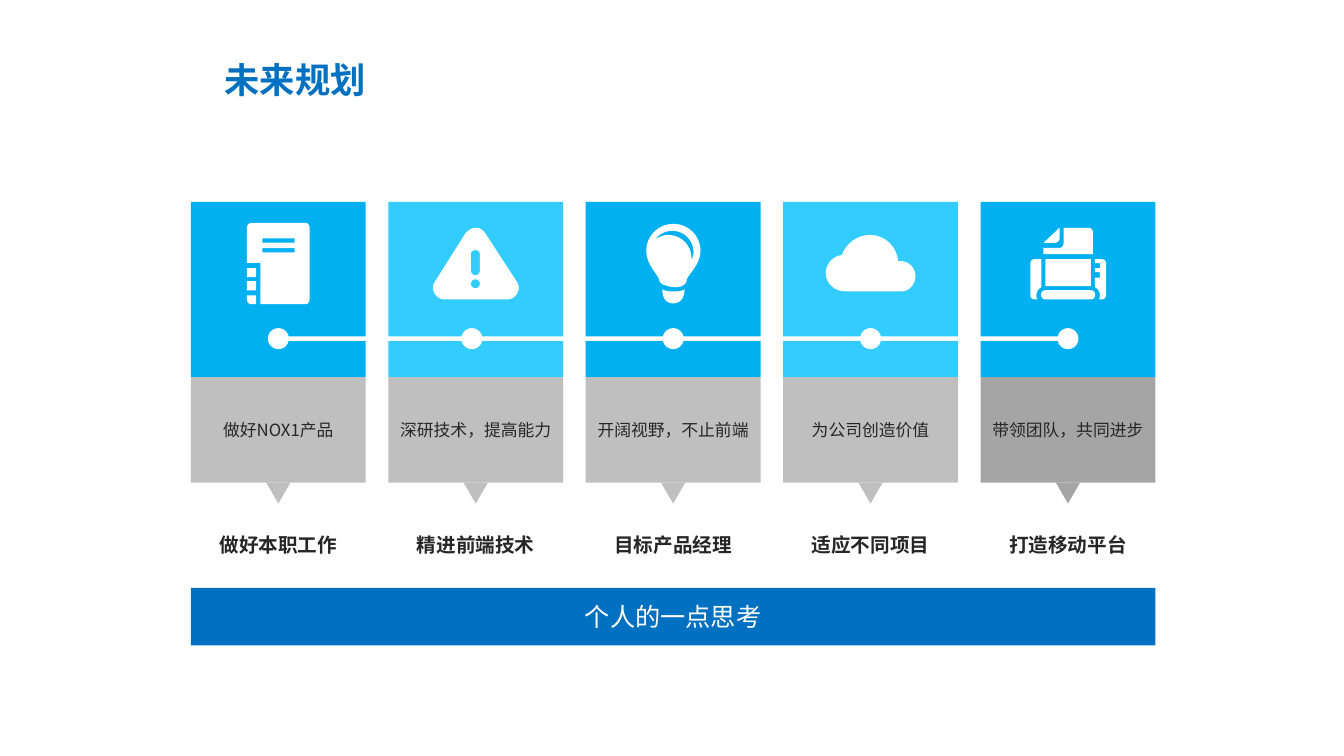
from pptx import Presentation
from pptx.dml.color import RGBColor
from pptx.enum.shapes import MSO_SHAPE as Preset
from pptx.enum.text import MSO_ANCHOR as Anchor, PP_ALIGN as Align
from pptx.oxml.ns import qn
from pptx.util import Pt

FONT = "Noto Sans CJK SC"
COLORS = {"blue": "0070C0", "azure": "00B0F0", "sky": "33CCFF", "gray": "BFBFBF",
          "dark_gray": "A5A5A5", "ink": "262626", "white": "FFFFFF"}

presentation = Presentation()
presentation.slide_width, presentation.slide_height = Pt(960), Pt(540)
slide = presentation.slides.add_slide(presentation.slide_layouts[6])


def add_filled(preset, left, top, width, height, color):
    shape = slide.shapes.add_shape(preset, Pt(left), Pt(top), Pt(width), Pt(height))
    shape.shadow.inherit = False
    shape.fill.solid()
    shape.fill.fore_color.rgb = RGBColor.from_string(COLORS[color])
    shape.line.fill.background()
    return shape


def write_text(shape, text, size, color, bold=False, align=Align.CENTER,
               anchor=Anchor.MIDDLE, wrap=True, side=5.1, edge=2.6):
    frame = shape.text_frame
    frame.word_wrap = wrap
    frame.vertical_anchor = anchor
    frame.margin_left = frame.margin_right = Pt(side)
    frame.margin_top = frame.margin_bottom = Pt(edge)
    paragraph = frame.paragraphs[0]
    paragraph.alignment = align
    run = paragraph.add_run()
    run.text = text
    run.font.size, run.font.bold, run.font.name = Pt(size), bold, FONT
    run.font.color.rgb = RGBColor.from_string(COLORS[color])
    east_asian = run._r.get_or_add_rPr().makeelement(qn("a:ea"), {"typeface": FONT})
    run.font._element.find(qn("a:latin")).addnext(east_asian)
    return paragraph


# Column grid
LEFT, TOP, TILE, PITCH = 136.4, 144.3, 124.9, 141
CAPTION_TOP, CAPTION_HEIGHT = 269.3, 75.5
columns = [
    ("做好NOX1产品", "做好本职工作", "azure", "gray"),
    ("深研技术，提高能力", "精进前端技术", "sky", "gray"),
    ("开阔视野，不止前端", "目标产品经理", "azure", "gray"),
    ("为公司创造价值", "适应不同项目", "sky", "gray"),
    ("带领团队，共同进步", "打造移动平台", "azure", "dark_gray"),
]

# Icon outlines, measured from the tile corner: two numbers are a corner,
# six numbers are a curve; further contours of an outline are holes
notebook = [
    [[(46.5, 73), (43, 73), (41.5, 73, 40, 71.6, 40, 69.5), (40, 66.7), (46.5, 66.7)]],
    [[(43, 15), (82, 15), (83.4, 15, 84.7, 16.4, 84.7, 18.4), (84.7, 69.5),
      (84.7, 71.6, 83.4, 73, 82, 73), (49.5, 73), (49.5, 43.6), (40, 43.6),
      (40, 18.4), (40, 16.4, 41.5, 15, 43, 15)],
     [(51, 36), (74, 36), (74, 33), (51, 33)],
     [(51, 29), (74, 29), (74, 26), (51, 26)]],
]
warning = [
    [[(55.3, 22), (57.5, 20, 59.6, 18.4, 62.4, 18.4), (65.4, 18.4, 67.5, 20, 69, 22),
      (92, 57.3), (93.5, 59.5, 93.5, 63, 92, 65.2), (90.6, 68.1, 87.7, 69.6, 84.8, 69.6),
      (40.2, 69.6), (37.3, 69.6, 34.4, 68.1, 33, 65.2), (31.5, 63, 31.5, 59.5, 33, 57.3)],
     [(62.4, 61.6), (63.9, 61.6, 65.4, 60.2, 65.4, 58.4),
      (65.4, 56.6, 63.9, 55.2, 62.4, 55.2), (60.3, 55.2, 58.9, 56.6, 58.9, 58.4),
      (58.9, 60.2, 60.3, 61.6, 62.4, 61.6)],
     [(58.9, 48.7), (58.9, 50.8, 60.3, 52.3, 62.4, 52.3),
      (63.9, 52.3, 65.4, 50.8, 65.4, 48.7), (65.4, 37.2),
      (65.4, 35.7, 63.9, 34.3, 62.4, 34.3), (60.3, 34.3, 58.9, 35.7, 58.9, 37.2)]],
]
bulb = [
    [[(56.2, 63), (57.6, 63.8, 59.8, 63.8, 62.6, 63.8), (65.5, 63.8, 67.7, 63.8, 69.1, 63),
      (70.6, 62.4), (70.6, 68.1, 67.7, 72.4, 62.6, 72.4),
      (56.9, 72.4, 54.7, 68.1, 54.7, 62.4)]],
    [[(62.6, 15.6), (73.4, 15.6, 82, 24.2, 82, 35), (82, 45, 72, 53, 72, 55.9),
      (72, 57.3, 71.3, 58.8, 68.4, 60.2), (67, 60.6, 65.5, 60.9, 62.6, 60.9),
      (61.2, 60.9, 59, 60.2, 56.9, 59.5), (54, 58.8, 52.6, 57.3, 52.6, 55.9),
      (52.6, 53, 43.2, 45, 43.2, 35), (43.2, 24.2, 51.8, 15.6, 62.6, 15.6)],
     [(59, 23.5), (68.4, 23.5, 75.6, 31.4, 75.6, 40), (75.6, 41.5),
      (76.3, 40, 77, 37.9, 77, 35.7), (77, 27, 69.8, 20.6, 62, 20.6),
      (56.9, 20.6, 52.6, 22.8, 49.7, 26.4), (52.6, 25, 55.4, 23.5, 59, 23.5)]],
]
cloud = [
    [[(41.9, 37.9), (44.8, 30, 52.7, 23.5, 62, 23.5), (72.9, 23.5, 81.5, 32.1, 82.2, 42.5),
      (83.7, 42.2), (90.1, 42.2, 94.5, 47.2, 94.5, 53), (94.5, 58, 90.9, 63, 85.8, 63.8),
      (44, 63.8), (36.9, 63.8, 30.4, 58, 30.4, 50.8), (30.4, 44.4, 35.4, 38.6, 41.9, 37.9)]],
]
printer = [
    [[(38.4, 40.8), (43.5, 40.8), (43.5, 60.9), (41.5, 61.8, 39.9, 64, 39.9, 66.7),
      (39.9, 67.8, 40.2, 68.8, 40.6, 69.6), (38.4, 69.6),
      (37, 69.6, 35.6, 68.1, 35.6, 66.7), (35.6, 43.7),
      (35.6, 42.3, 37, 40.8, 38.4, 40.8)]],
    [[(46.4, 63), (78.8, 63), (80.5, 63, 81.9, 64.5, 81.9, 66.3),
      (81.9, 68.2, 80.5, 69.6, 78.8, 69.6), (46.4, 69.6),
      (44.6, 69.6, 43.2, 68.2, 43.2, 66.3), (43.2, 64.5, 44.6, 63, 46.4, 63)]],
    [[(81.7, 60.9), (81.7, 54), (85.2, 54), (85.2, 50.1), (81.7, 50.1), (81.7, 47.2),
      (85.2, 47.2), (85.2, 43.7), (81.7, 43.7), (81.7, 40.8), (86.7, 40.8),
      (88.3, 40.8, 89.6, 42.3, 89.6, 43.7), (89.6, 66.7),
      (89.6, 68.1, 88.3, 69.6, 86.7, 69.6), (84.6, 69.6),
      (85, 68.8, 85.3, 67.8, 85.3, 66.7), (85.3, 64, 83.7, 61.8, 81.7, 60.9)]],
    [[(52.8, 29.2), (44.9, 29.2), (56.4, 18.4), (56.4, 26.4),
      (56.4, 27.8, 54.6, 29.2, 52.8, 29.2)]],
    [[(44.9, 32.8), (56.4, 32.8), (57.9, 32.8, 59.3, 31.4, 59.3, 29.2), (59.3, 18.4),
      (77.3, 18.4), (78.8, 18.4, 80.2, 19.8, 80.2, 21.3), (80.2, 37.2), (44.9, 37.2)]],
]
icons = [notebook, warning, bulb, cloud, printer]
icon_bars = {0: [(40, 47.2, 6.5, 6.5), (40, 56.6, 6.5, 6.5)], 4: [(46.4, 40.8, 32.4, 19.4)]}

# Title
title = slide.shapes.add_textbox(Pt(153.4), Pt(41.8), Pt(620.6), Pt(33.8))
heading = write_text(title, "未来规划", 25.2, "blue", True, Align.LEFT, Anchor.BOTTOM,
                     side=7.2, edge=3.6)
heading.line_spacing = 0.9

# Columns: tile, caption, pointer, label and icon
for index, (caption_text, label_text, tile_color, caption_color) in enumerate(columns):
    left = LEFT + index * PITCH
    middle = left + TILE / 2
    add_filled(Preset.RECTANGLE, left, TOP, TILE, CAPTION_TOP - TOP, tile_color)
    caption = add_filled(Preset.RECTANGLE, left, CAPTION_TOP, TILE, CAPTION_HEIGHT, caption_color)
    write_text(caption, caption_text, 12, "ink")
    pointer = add_filled(Preset.ISOSCELES_TRIANGLE, middle - 8.65, CAPTION_TOP + CAPTION_HEIGHT,
                         17.3, 14.9, caption_color)
    pointer._element.spPr.find(qn("a:xfrm")).set("flipV", "1")
    label = slide.shapes.add_textbox(Pt(middle - 47.5), Pt(378), Pt(95), Pt(22.3))
    write_text(label, label_text, 14, "ink", True, anchor=Anchor.TOP, wrap=False)

    for outline in icons[index]:
        builder = None
        for contour in outline:
            points = [contour[0]]
            for step in contour[1:]:
                if len(step) == 2:
                    points.append(step)
                    continue
                curve = [points[-1], step[:2], step[2:4], step[4:]]
                for t in (n / 8 for n in range(1, 9)):
                    weights = ((1 - t) ** 3, 3 * t * (1 - t) ** 2, 3 * t * t * (1 - t), t ** 3)
                    points.append(tuple(sum(w * p[axis] for w, p in zip(weights, curve))
                                        for axis in (0, 1)))
            points = [(Pt(left + x), Pt(TOP + y)) for x, y in points]
            if builder is None:
                builder = slide.shapes.build_freeform(*points[0])
            else:
                builder.move_to(*points[0])
            builder.add_line_segments(points[1:], close=True)
        icon = builder.convert_to_shape()
        icon.shadow.inherit = False
        icon.fill.solid()
        icon.fill.fore_color.rgb = RGBColor.from_string(COLORS["white"])
        icon.line.fill.background()
    for x, y, width, height in icon_bars.get(index, []):
        add_filled(Preset.RECTANGLE, left + x, TOP + y, width, height, "white")

# Timeline across the tiles
for index, shift in enumerate((0, -2.8, 0, 0, 0)):
    middle = LEFT + index * PITCH + TILE / 2 + shift
    add_filled(Preset.OVAL, middle - 7.5, 234.4, 15, 15, "white")
add_filled(Preset.RECTANGLE, 194.4, 240.2, 563.8, 3.3, "white")

# Closing bar
closing = add_filled(Preset.RECTANGLE, LEFT, 420, 4 * PITCH + TILE, 41, "blue")
write_text(closing, "个人的一点思考", 18, "white")

presentation.save("out.pptx")
